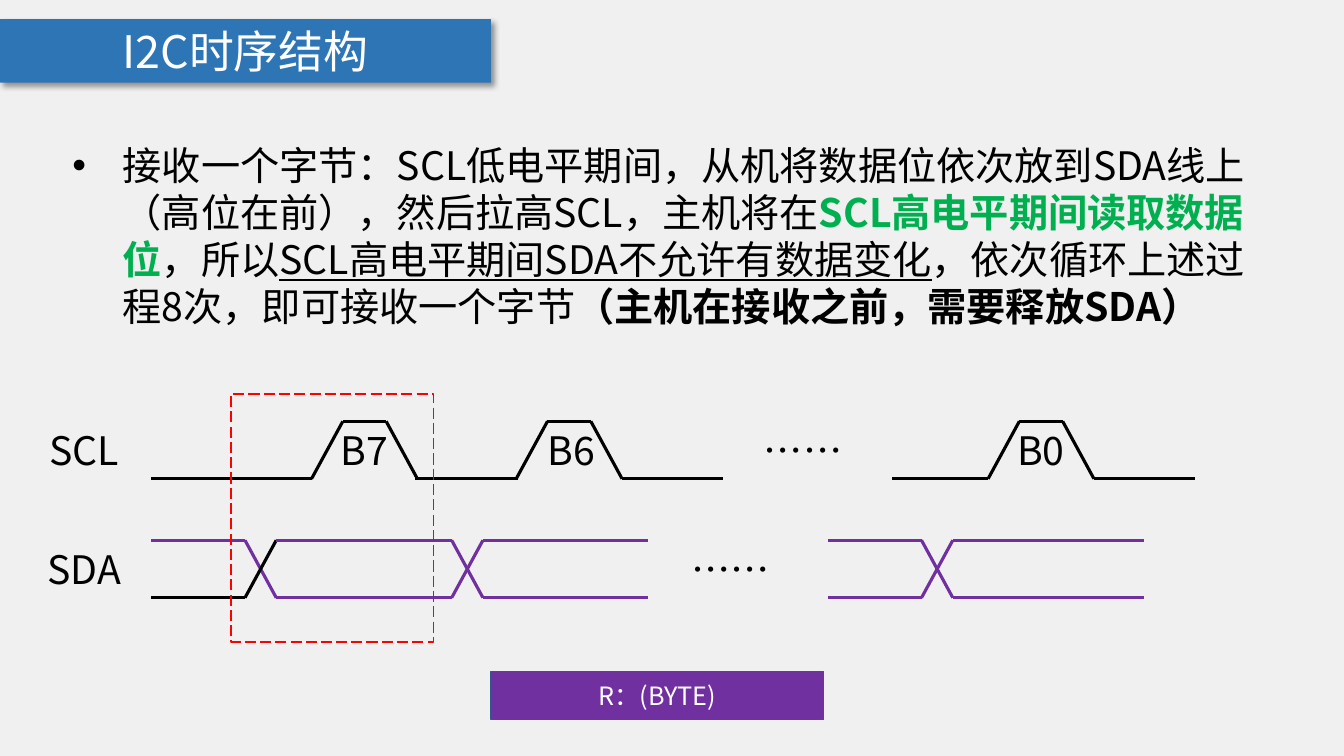
from itertools import pairwise

from lxml.etree import SubElement
from pptx import Presentation
from pptx.dml.color import RGBColor
from pptx.enum.dml import MSO_LINE
from pptx.enum.shapes import MSO_CONNECTOR, MSO_SHAPE
from pptx.enum.text import MSO_ANCHOR, PP_ALIGN
from pptx.oxml.ns import qn
from pptx.util import Inches, Pt

FONT = "Noto Sans CJK SC"
BLACK, WHITE, PURPLE, GREEN = "000000", "FFFFFF", "7030A0", "00B050"
BLUE, NAVY, RED, GRAY = "2E75B6", "325491", "FF0000", "F0F0F0"
HIGH, LOW = 4.18, 4.75
SDA_HIGH, SDA_LOW = 5.36, 5.93
SLOPE = 0.31


def paint(target, color):
    if hasattr(target, "solid"):
        target.solid()
        target = target.fore_color
    else:
        target = target.color
    target.rgb = RGBColor.from_string(color)


def set_font(para, size, color):
    para.font.size = Pt(size)
    para.font.name = FONT
    paint(para.font, color)
    defaults = para._p.pPr.find(qn("a:defRPr"))
    SubElement(defaults, qn("a:ea"), typeface=FONT)


deck = Presentation()
deck.slide_width, deck.slide_height = Inches(13.33), Inches(7.5)
page = deck.slides.add_slide(deck.slide_layouts[6])
paint(page.background.fill, GRAY)

banners = [
    ("I2C时序结构", 0, 0.19, 4.87, 0.63, 32, BLUE, None),
    ("R：(BYTE)", 4.87, 6.66, 3.3, 0.48, 18, PURPLE, NAVY),
]
for text, left, top, width, height, size, fill, edge in banners:
    banner = page.shapes.add_shape(
        MSO_SHAPE.RECTANGLE, Inches(left), Inches(top), Inches(width), Inches(height))
    banner.shadow.inherit = False
    paint(banner.fill, fill)
    if edge:
        paint(banner.line, edge)
        banner.line.width = Pt(1)
    else:
        banner.line.fill.background()
        effects = banner._element.spPr.find(qn("a:effectLst"))
        shadow = SubElement(effects, qn("a:outerShdw"), blurRad=str(Pt(4)), dist=str(Pt(3)),
                            dir="2700000", algn="tl", rotWithShape="0")
        shade = SubElement(shadow, qn("a:srgbClr"), val=BLACK)
        SubElement(shade, qn("a:alpha"), val="40000")
    frame = banner.text_frame
    frame.vertical_anchor = MSO_ANCHOR.MIDDLE
    para = frame.paragraphs[0]
    para.text = text
    para.alignment = PP_ALIGN.CENTER
    set_font(para, size, WHITE)

box = page.shapes.add_textbox(Inches(0.62), Inches(1.35), Inches(12.08), Inches(2.46))
box.text_frame.word_wrap = True
para = box.text_frame.paragraphs[0]
props = para._p.get_or_add_pPr()
props.set("marL", str(Inches(0.5)))
props.set("indent", str(Inches(-0.5)))
SubElement(props, qn("a:buFont"), typeface="Arial")
SubElement(props, qn("a:buChar"), char="•")
set_font(para, 28, BLACK)
spans = [
    ("接收一个字节：SCL低电平期间，从机将数据位依次放到SDA线上（高位在前），然后拉高SCL，主机将在",
     BLACK, False, False),
    ("SCL高电平期间读取数据位", GREEN, True, False),
    ("，所以", BLACK, False, False),
    ("SCL高电平期间SDA不允许有数据变化", BLACK, False, True),
    ("，依次循环上述过程8次，即可接收一个字节", BLACK, False, False),
    ("（主机在接收之前，需要释放SDA）", BLACK, True, False),
]
for text, color, bold, underline in spans:
    span = para.add_run()
    span.text = text
    span.font.bold = bold
    span.font.underline = underline
    paint(span.font, color)

wires = []
for start, rise, end in [(1.5, 3.09, 5.14), (4.12, 5.12, 7.17), (8.85, 9.8, 11.85)]:
    top_left, top_right = rise + SLOPE, rise + SLOPE + 0.43
    wires.append((BLACK, [(start, LOW), (rise, LOW), (top_left, HIGH), (top_right, HIGH),
                          (top_right + SLOPE, LOW), (end, LOW)]))

for start, end, rising in [(1.5, 3.74, BLACK), (3.55, 6.43, PURPLE), (8.21, 11.35, PURPLE)]:
    cross = start + 0.93
    after = cross + SLOPE
    wires += [
        (PURPLE, [(start, SDA_HIGH), (cross, SDA_HIGH), (after, SDA_LOW), (end, SDA_LOW)]),
        (rising, [(start, SDA_LOW), (cross, SDA_LOW), (after, SDA_HIGH)]),
        (PURPLE, [(after, SDA_HIGH), (end, SDA_HIGH)]),
    ]

for color, points in wires:
    for (x1, y1), (x2, y2) in pairwise(points):
        wire = page.shapes.add_connector(
            MSO_CONNECTOR.STRAIGHT, Inches(x1), Inches(y1), Inches(x2), Inches(y2))
        paint(wire.line, color)
        wire.line.width = Pt(2.25)
        SubElement(wire._element.spPr, qn("a:effectLst"))

bit_frame = page.shapes.add_shape(
    MSO_SHAPE.RECTANGLE, Inches(2.29), Inches(3.91), Inches(2.01), Inches(2.46))
bit_frame.shadow.inherit = False
bit_frame.fill.background()
paint(bit_frame.line, RED)
bit_frame.line.width = Pt(1)
bit_frame.line.dash_style = MSO_LINE.LONG_DASH

labels = [
    ("SCL", 0.19, HIGH, 1.29), ("SDA", 0.19, SDA_HIGH, 1.29),
    ("B7", 3.15, HIGH, 0.93), ("B6", 5.2, HIGH, 0.93), ("B0", 9.86, HIGH, 0.93),
    ("……", 7.32, HIGH, 1.29), ("……", 6.6, SDA_HIGH, 1.29),
]
for text, left, top, width in labels:
    label = page.shapes.add_textbox(Inches(left), Inches(top), Inches(width), Inches(0.57))
    label.text_frame.word_wrap = True
    para = label.text_frame.paragraphs[0]
    para.text = text
    para.alignment = PP_ALIGN.CENTER
    set_font(para, 28, BLACK)

deck.save("out.pptx")
